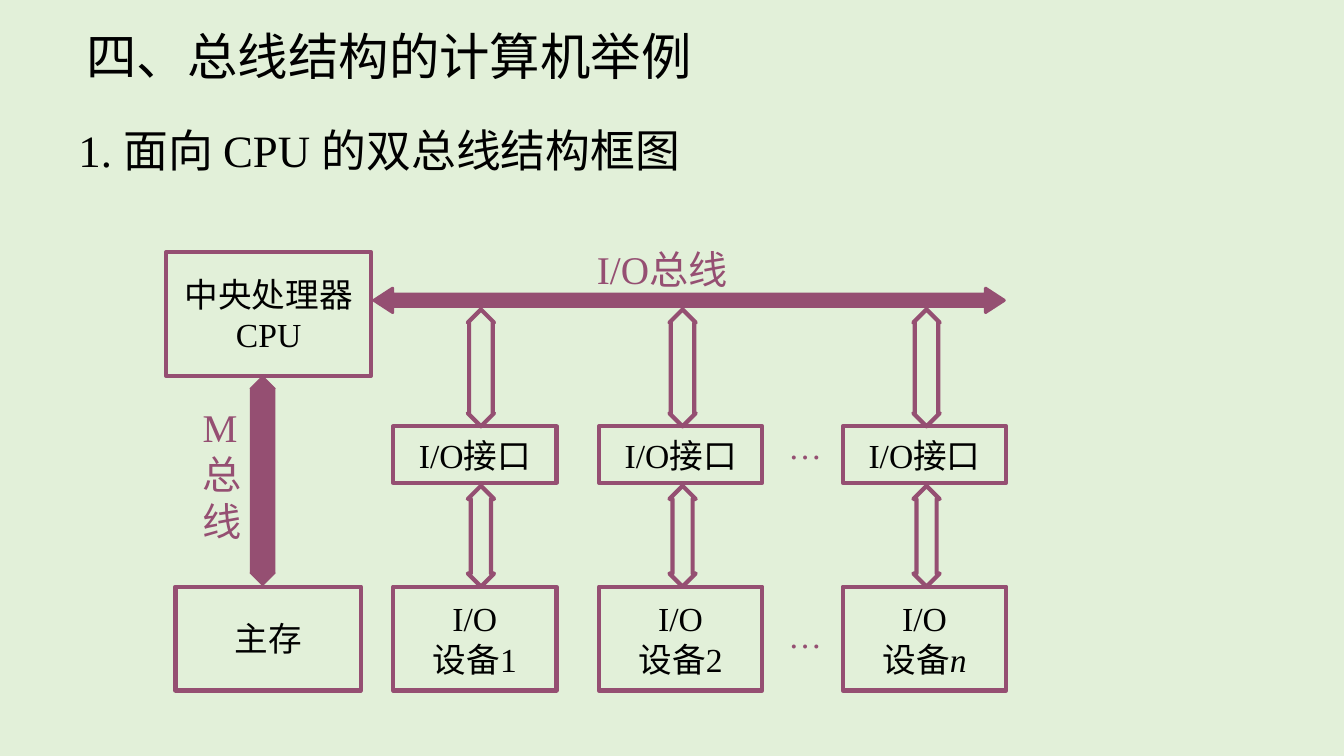
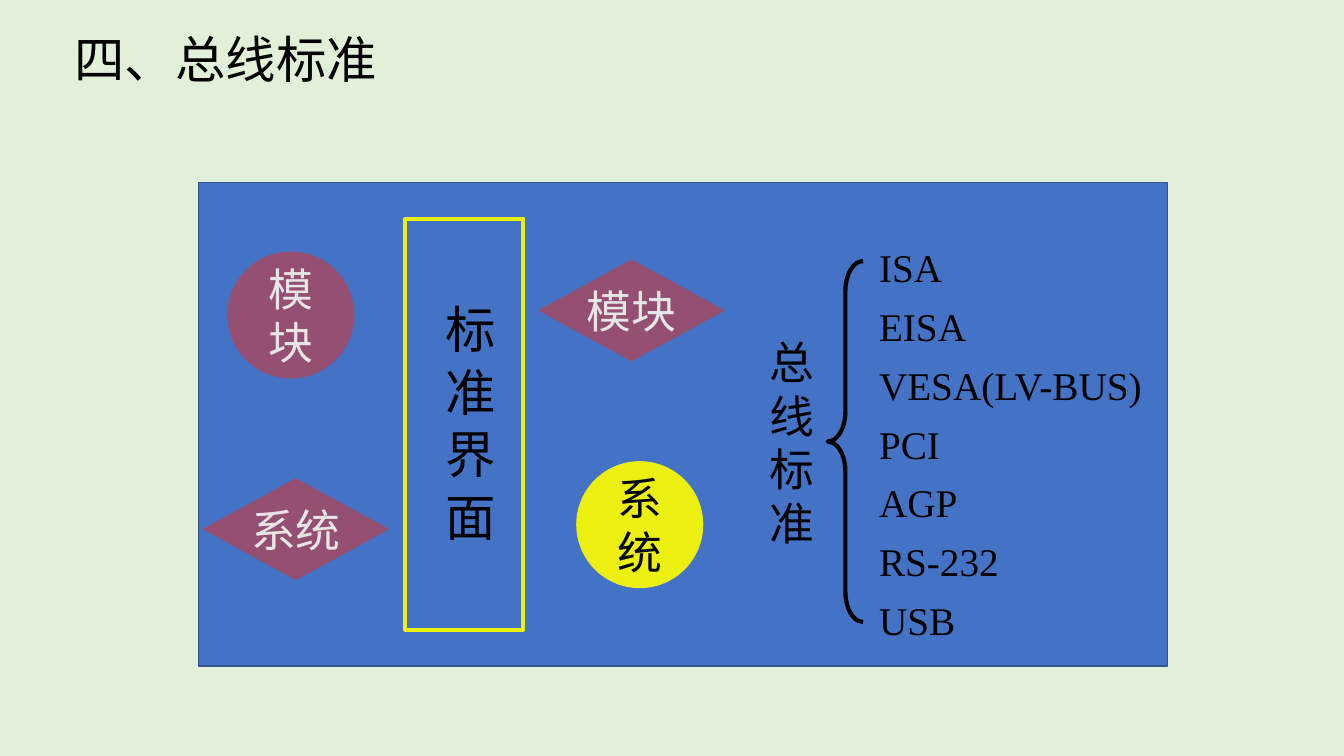
from pptx import Presentation
from pptx.dml.color import RGBColor
from pptx.enum.shapes import MSO_SHAPE
from pptx.enum.text import MSO_ANCHOR, PP_ALIGN
from pptx.oxml.ns import qn
from pptx.util import Inches, Pt

RECTANGLE = MSO_SHAPE.RECTANGLE
ELLIPSE = MSO_SHAPE.OVAL
DIAMOND = MSO_SHAPE.DIAMOND
LEFT_BRACE = MSO_SHAPE.LEFT_BRACE
LEFT_RIGHT_ARROW = MSO_SHAPE.LEFT_RIGHT_ARROW
UP_DOWN_ARROW = MSO_SHAPE.UP_DOWN_ARROW
MIDDLE, TOP = MSO_ANCHOR.MIDDLE, MSO_ANCHOR.TOP
CENTER, LEFT = PP_ALIGN.CENTER, PP_ALIGN.LEFT

PALE_GREEN = RGBColor(0xE2, 0xF0, 0xD9)
PLUM = RGBColor(0x95, 0x4F, 0x72)
BLUE = RGBColor(0x44, 0x72, 0xC4)
DARK_BLUE = RGBColor(0x32, 0x54, 0x91)
YELLOW = RGBColor(0xEB, 0xF0, 0x10)
LIGHT_GRAY = RGBColor(0xE7, 0xE6, 0xE6)
BLACK = RGBColor(0, 0, 0)

FONT = "Times New Roman"
NO_MARGINS = (0, 0)
TEXT_MARGINS = (0.1, 0.05)


class Deck:
    def __init__(self):
        self.presentation = Presentation()
        self.presentation.slide_width = Inches(13.33)
        self.presentation.slide_height = Inches(7.5)
        background = self.presentation.slide_master.background.fill
        background.solid()
        background.fore_color.rgb = PALE_GREEN
        self.slide = None

    def add_slide(self, title, left, top):
        layout = self.presentation.slide_layouts[6]
        self.slide = self.presentation.slides.add_slide(layout)
        self.text([title], left, top, 6.95, 0.7, size=36)

    def fill_text(self, shape, lines, size, color, align, anchor, margins, spacing=None):
        text_frame = shape.text_frame
        horizontal, vertical = (Inches(margin) for margin in margins)
        frame_format = {
            "word_wrap": True,
            "vertical_anchor": anchor,
            "margin_left": horizontal,
            "margin_right": horizontal,
            "margin_top": vertical,
            "margin_bottom": vertical,
        }
        for name, value in frame_format.items():
            setattr(text_frame, name, value)
        for index, line in enumerate(lines):
            paragraph = text_frame.paragraphs[0] if index == 0 else text_frame.add_paragraph()
            paragraph.alignment = align
            paragraph.line_spacing = spacing
            runs = [(line, {})] if isinstance(line, str) else line
            for text, changes in runs:
                run = paragraph.add_run()
                run.text = text
                font_format = {"name": FONT, "size": Pt(size), **changes}
                for name, value in font_format.items():
                    setattr(run.font, name, value)
                run.font.color.rgb = color

    def text(self, lines, left, top, width, height, size, color=BLACK,
             margins=TEXT_MARGINS, spacing=None):
        shape = self.slide.shapes.add_textbox(
            Inches(left), Inches(top), Inches(width), Inches(height))
        self.fill_text(shape, lines, size, color, LEFT, TOP, margins, spacing)
        return shape

    def vertical_text(self, line, left, top, width, height, size):
        shape = self.text([line], left, top, width, height, size)
        shape.element.txBody.find(qn("a:bodyPr")).set("vert", "eaVert")

    def shape(self, kind, left, top, width, height, fill=None, line=PLUM,
              line_width=3, adjustments=()):
        shape = self.slide.shapes.add_shape(
            kind, Inches(left), Inches(top), Inches(width), Inches(height))
        shape.shadow.inherit = False
        if fill is None:
            shape.fill.background()
        else:
            shape.fill.solid()
            shape.fill.fore_color.rgb = fill
        shape.line.color.rgb = line
        shape.line.width = Pt(line_width)
        for index, value in enumerate(adjustments):
            shape.adjustments[index] = value
        return shape

    def box(self, lines, left, top, width, height):
        shape = self.shape(RECTANGLE, left, top, width, height)
        self.fill_text(shape, lines, 24, BLACK, CENTER, MIDDLE, NO_MARGINS)

    def badge(self, kind, label, left, top, width, height, fill, color):
        shape = self.shape(kind, left, top, width, height, fill, fill, 0.75)
        self.fill_text(shape, [label], 32, color, CENTER, MIDDLE, NO_MARGINS)


def add_bus_structure(deck):
    deck.add_slide("四、总线结构的计算机举例", 0.76, 0.2)
    deck.text(["1. 面向 CPU 的双总线结构框图"], 0.68, 1.17, 6.96, 0.63, size=32)

    deck.box(["中央处理器", "CPU"], 1.65, 2.5, 2.03, 1.23)
    deck.box(["主存"], 1.74, 5.82, 1.84, 1.03)
    bus_label = [("I/O", {}), ("总线", {"name": "Noto Sans CJK SC"})]
    deck.text([bus_label], 5.92, 2.43, 1.98, 0.47, 28, PLUM, NO_MARGINS)
    deck.shape(LEFT_RIGHT_ARROW, 3.71, 2.86, 6.25, 0.24, PLUM, PLUM, 2.25, (0.5, 0.77))
    deck.text(["M", "总", "线"], 2.01, 4, 0.47, 1.4, 28, PLUM, NO_MARGINS)
    deck.shape(UP_DOWN_ARROW, 2.48, 3.73, 0.25, 2.08, PLUM, PLUM, 0.75, (0.5, 0.98))

    interface_top, device_top = 4.23, 5.82
    columns = [
        (3.9, 4.64, [("设备1", {})]),
        (5.94, 6.64, [("设备2", {})]),
        (8.36, 9.06, [("设备", {}), ("n", {"italic": True})]),
    ]
    for left, arrow_left, device in columns:
        deck.box(["I/O接口"], left, interface_top, 1.62, 0.56)
        deck.box(["I/O", device], left, device_top, 1.62, 1.03)
        for top, bottom, head in ((3.07, interface_top, 0.9), (4.82, device_top, 0.77)):
            deck.shape(UP_DOWN_ARROW, arrow_left, top, 0.26, bottom - top,
                       adjustments=(0.5, head))
    for top in (4.23, 6.1):
        deck.text(["…"], 7.82, top, 0.41, 0.4, 24, PLUM, NO_MARGINS)


def add_bus_standards(deck):
    deck.add_slide("四、总线标准", 0.64, 0.23)
    deck.shape(RECTANGLE, 1.97, 1.81, 9.61, 4.8, BLUE, DARK_BLUE, 1)

    circle, diamond = (1.25, 1.25), (1.83, 1)
    badges = [
        (ELLIPSE, "模块", 2.26, 2.5, *circle, PLUM, LIGHT_GRAY),
        (ELLIPSE, "系统", 5.72, 4.58, *circle, YELLOW, BLACK),
        (DIAMOND, "系统", 2.02, 4.75, *diamond, PLUM, LIGHT_GRAY),
        (DIAMOND, "模块", 5.35, 2.58, *diamond, PLUM, LIGHT_GRAY),
    ]
    for badge in badges:
        deck.badge(*badge)

    deck.shape(RECTANGLE, 4.02, 2.17, 1.17, 4.08, line=YELLOW)
    deck.vertical_text("标 准 界 面", 4.19, 2.92, 0.81, 3.5, size=36)

    deck.text(list("总线标准"), 7.53, 3.27, 0.59, 2.26, size=32)
    deck.shape(LEFT_BRACE, 8.21, 2.59, 0.35, 3.58, line=BLACK, adjustments=(0.85, 0.5))
    standards = ["ISA", "EISA", "VESA(LV-BUS)", "PCI", "AGP", "RS-232", "USB"]
    deck.text(standards, 8.62, 2.25, 3.49, 4.18, size=28, spacing=1.25)


def main():
    deck = Deck()
    add_bus_structure(deck)
    add_bus_standards(deck)
    deck.presentation.save("out.pptx")


if __name__ == "__main__":
    main()
